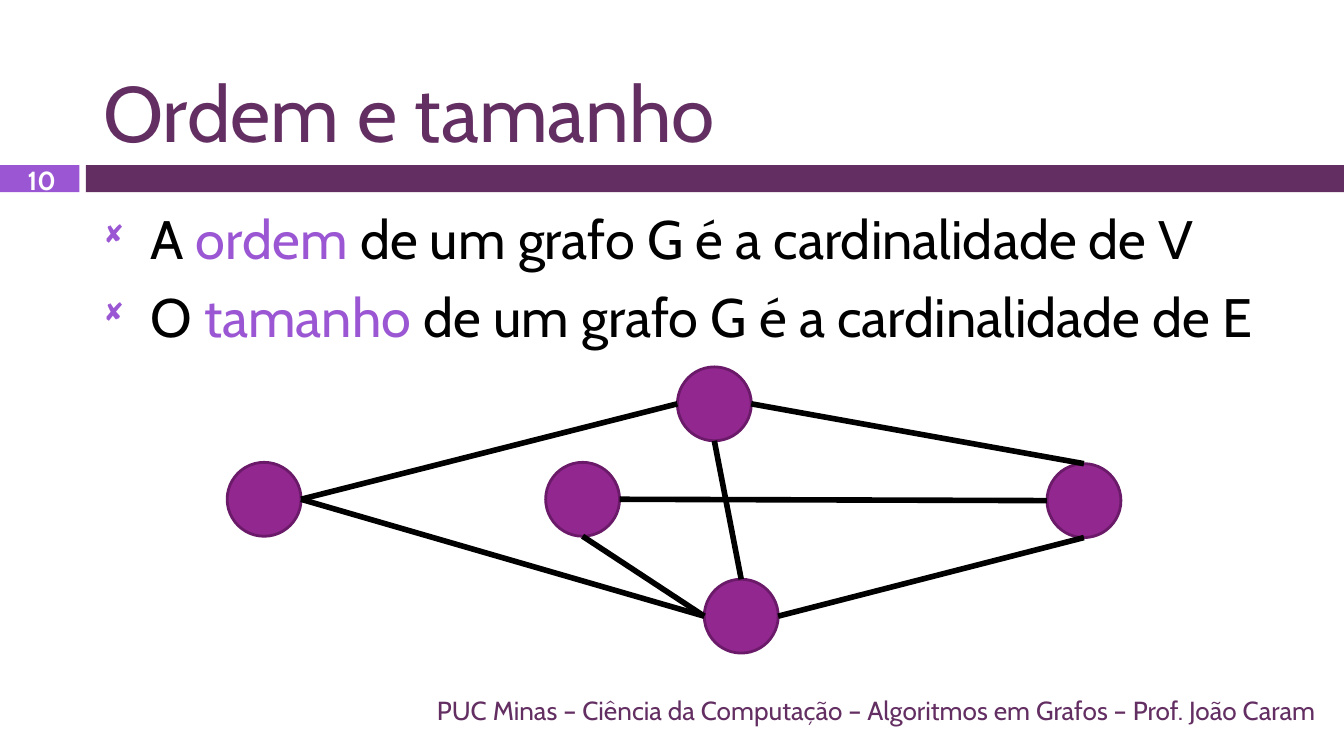
from lxml.etree import SubElement
from pptx import Presentation
from pptx.dml.color import RGBColor
from pptx.enum.shapes import MSO_CONNECTOR, MSO_SHAPE
from pptx.enum.text import MSO_ANCHOR, PP_ALIGN
from pptx.oxml.ns import qn
from pptx.util import Inches, Pt

PLUM = RGBColor(0x63, 0x2E, 0x62)
LILAC = RGBColor(0x9B, 0x57, 0xD3)
MAGENTA = RGBColor(0x92, 0x27, 0x8F)
MAGENTA_EDGE = RGBColor(0x6A, 0x1A, 0x68)
BLACK = RGBColor(0, 0, 0)
WHITE = RGBColor(0xFF, 0xFF, 0xFF)

SIDES = {"top": (0.5, 0), "left": (0, 0.5), "bottom": (0.5, 1), "right": (1, 0.5)}


class GraphSlide:
    """Draws the parts of a graph theory slide in one shared style."""

    font_name = "Cabin"
    vertex_size = 0.55

    def __init__(self, slide):
        self.shapes = slide.shapes

    def bar(self, left, top, width, height, color):
        bar = self.shapes.add_shape(
            MSO_SHAPE.RECTANGLE, Inches(left), Inches(top), Inches(width), Inches(height))
        bar.shadow.inherit = False
        bar.fill.solid()
        bar.fill.fore_color.rgb = color
        bar.line.fill.background()

    def frame(self, left, top, width, height, anchor):
        frame = self.shapes.add_textbox(
            Inches(left), Inches(top), Inches(width), Inches(height)).text_frame
        frame.word_wrap = True
        frame.vertical_anchor = anchor
        return frame

    def style(self, paragraph, size, color=None, bold=False):
        paragraph.font.name = self.font_name
        paragraph.font.size = Pt(size)
        paragraph.font.bold = bold
        if color is not None:
            paragraph.font.color.rgb = color

    def text(self, words, box, size, color, align=PP_ALIGN.LEFT,
             anchor=MSO_ANCHOR.MIDDLE, bold=False):
        paragraph = self.frame(*box, anchor).paragraphs[0]
        paragraph.text = words
        paragraph.alignment = align
        self.style(paragraph, size, color, bold)

    def definitions(self, items, box, size):
        frame = self.frame(*box, MSO_ANCHOR.TOP)
        for index, (article, term, meaning) in enumerate(items):
            paragraph = frame.add_paragraph() if index else frame.paragraphs[0]
            self.bullet(paragraph)
            if index:
                paragraph.space_before = Pt(7)
            self.style(paragraph, size)
            for words, color in ((article, BLACK), (term, LILAC), (meaning, BLACK)):
                run = paragraph.add_run()
                run.text = words
                run.font.color.rgb = color

    def bullet(self, paragraph):
        properties = paragraph._p.get_or_add_pPr()
        properties.set("marL", str(Inches(0.35)))
        properties.set("indent", str(-Inches(0.35)))
        bullet_color = SubElement(properties, qn("a:buClr"))
        SubElement(bullet_color, qn("a:srgbClr"), val=str(LILAC))
        SubElement(properties, qn("a:buSzPct"), val="60000")
        SubElement(properties, qn("a:buFont"), typeface="Wingdings")
        SubElement(properties, qn("a:buChar"), char="◻")

    def vertex(self, left, top):
        vertex = self.shapes.add_shape(
            MSO_SHAPE.OVAL, Inches(left), Inches(top),
            Inches(self.vertex_size), Inches(self.vertex_size))
        vertex.shadow.inherit = False
        vertex.fill.solid()
        vertex.fill.fore_color.rgb = MAGENTA
        vertex.line.color.rgb = MAGENTA_EDGE
        vertex.line.width = Pt(1.5)
        return vertex

    def edge(self, start, start_side, end, end_side):
        points = []
        for vertex, side in ((start, start_side), (end, end_side)):
            across, down = SIDES[side]
            points += [int(vertex.left + across * vertex.width),
                       int(vertex.top + down * vertex.height)]
        edge = self.shapes.add_connector(MSO_CONNECTOR.STRAIGHT, *points)
        edge.line.color.rgb = BLACK
        edge.line.width = Pt(3)
        SubElement(edge._element.spPr, qn("a:effectLst"))


def main():
    presentation = Presentation()
    presentation.slide_width = Inches(10)
    presentation.slide_height = Inches(10) * 9 // 16
    page = GraphSlide(presentation.slides.add_slide(presentation.slide_layouts[6]))

    page.bar(0.64, 1.23, 9.36, 0.2, PLUM)
    page.bar(0, 1.23, 0.59, 0.2, LILAC)
    page.text("Ordem e tamanho", (0.67, 0.13, 9.22, 1.1), 42, PLUM,
              anchor=MSO_ANCHOR.BOTTOM)
    page.definitions(
        [("A ", "ordem", " de um grafo G é a cardinalidade de V"),
         ("O ", "tamanho", " de um grafo G é a cardinalidade de E")],
        (0.67, 1.48, 9.22, 3.58), 29)
    page.text("10", (0.02, 1.24, 0.58, 0.2), 14, WHITE, PP_ALIGN.CENTER, bold=True)
    page.text("PUC Minas – Ciência da Computação – Algoritmos em Grafos – Prof. João Caram",
              (0.67, 5.13, 9.22, 0.3), 14, PLUM, PP_ALIGN.RIGHT)

    upper = page.vertex(5.04, 2.73)
    middle = page.vertex(4.06, 3.44)
    lower = page.vertex(5.24, 4.31)
    west = page.vertex(1.69, 3.44)
    east = page.vertex(7.79, 3.45)
    for ends in (
        (upper, "right", east, "top"),
        (middle, "right", east, "left"),
        (lower, "right", east, "bottom"),
        (upper, "bottom", lower, "top"),
        (west, "right", lower, "left"),
        (upper, "left", west, "right"),
        (middle, "bottom", lower, "left"),
    ):
        page.edge(*ends)

    presentation.save("out.pptx")


if __name__ == "__main__":
    main()
